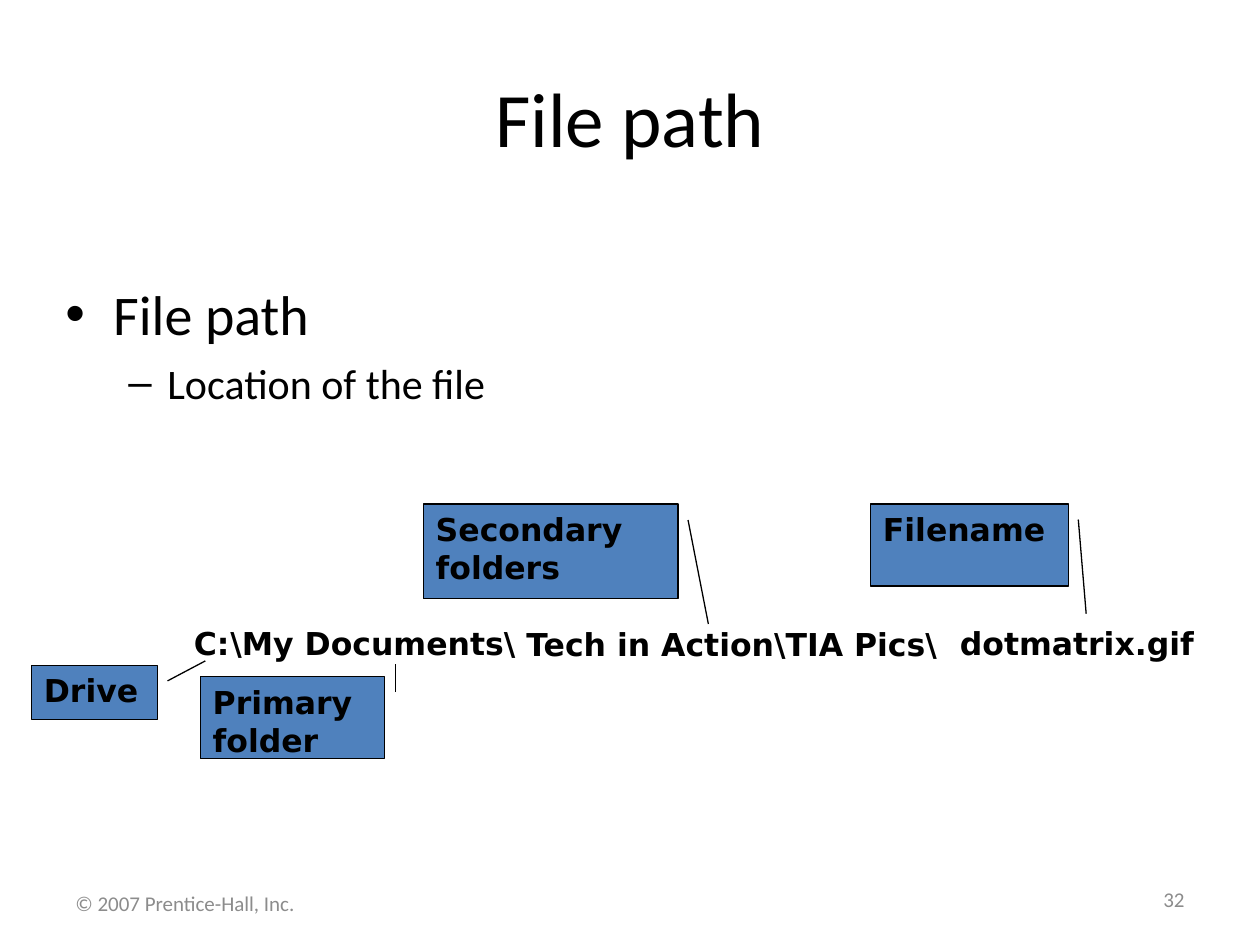
from dataclasses import dataclass

from lxml.etree import SubElement
from pptx import Presentation
from pptx.dml.color import RGBColor
from pptx.enum.shapes import MSO_SHAPE
from pptx.enum.text import MSO_ANCHOR, PP_ALIGN
from pptx.oxml.ns import qn
from pptx.util import Inches, Pt


@dataclass(frozen=True)
class Theme:
    """Colours, fonts and type sizes of the slide."""
    black: RGBColor = RGBColor(0, 0, 0)
    white: RGBColor = RGBColor(255, 255, 255)
    grey: RGBColor = RGBColor(0x8C, 0x8C, 0x8C)
    blue: RGBColor = RGBColor(0x4F, 0x81, 0xBD)
    body_font: str = "Calibri"
    label_font: str = "DejaVu Sans"
    title_size: int = 44
    bullet_size: int = 32
    dash_size: int = 24
    label_size: int = 18
    footer_size: int = 12


THEME = Theme()
LABEL = dict(font=THEME.label_font, size=THEME.label_size, bold=True)
FOOTER = dict(size=THEME.footer_size, color=THEME.grey)


def write(para, text, font=THEME.body_font, size=THEME.label_size,
          color=THEME.black, bold=False, align=PP_ALIGN.LEFT):
    """Put formatted text in a paragraph."""
    para.alignment = align
    span = para.add_run()
    span.text = text
    span.font.name = font
    span.font.size = Pt(size)
    span.font.bold = bold
    span.font.color.rgb = color


def place(shape, left, top, width, height):
    """Move and size a shape, in inches."""
    shape.left, shape.top = Inches(left), Inches(top)
    shape.width, shape.height = Inches(width), Inches(height)


def add_text(page, bounds, text, anchor=MSO_ANCHOR.TOP, **style):
    """Add a wrapped text box holding one paragraph."""
    box = page.shapes.add_textbox(*map(Inches, bounds))
    frame = box.text_frame
    frame.word_wrap = True
    frame.vertical_anchor = anchor
    write(frame.paragraphs[0], text, **style)
    return box


def set_bullet(para, mark, margin, hanging):
    """Give a paragraph a bullet and a hanging indent."""
    properties = para._p.get_or_add_pPr()
    properties.set("marL", str(Inches(margin)))
    properties.set("indent", str(-Inches(hanging)))
    SubElement(properties, qn("a:buFont")).set("typeface", "Arial")
    SubElement(properties, qn("a:buChar")).set("char", mark)


def add_title(page, text):
    """Fill and format the title placeholder."""
    title = page.shapes.title
    place(title, 0.5, 0.3, 9, 1.25)
    title.text_frame.vertical_anchor = MSO_ANCHOR.MIDDLE
    write(title.text_frame.paragraphs[0], text, size=THEME.title_size,
          align=PP_ALIGN.CENTER)


def add_bullets(page):
    """Add the two-level list."""
    box = add_text(page, (0.42, 2.17, 9, 2.39), "File path",
                   size=THEME.bullet_size)
    set_bullet(box.text_frame.paragraphs[0], "•", 0.38, 0.38)
    para = box.text_frame.add_paragraph()
    para.level = 1
    para.space_before = Pt(5.8)
    set_bullet(para, "–", 0.81, 0.31)
    write(para, "Location of the file", size=THEME.dash_size)


def add_panel(page, kind, bounds, text, fill):
    """Add a filled shape with a bold label at its top left."""
    panel = page.shapes.add_shape(kind, *map(Inches, bounds))
    panel.shadow.inherit = False
    panel.fill.solid()
    panel.fill.fore_color.rgb = fill
    panel.line.fill.background()
    panel.text_frame.word_wrap = True
    panel.text_frame.vertical_anchor = MSO_ANCHOR.TOP
    write(panel.text_frame.paragraphs[0], text, **LABEL)
    return panel


def add_callout(page, bounds, text, pointer):
    """Add a callout whose pointer is given as y, x, y, x ratios."""
    callout = add_panel(page, MSO_SHAPE.LINE_CALLOUT_1, bounds, text, THEME.blue)
    callout.line.color.rgb = THEME.black
    callout.line.width = Pt(0.75)
    for index, ratio in enumerate(pointer):
        callout.adjustments[index] = ratio


def add_file_path(page):
    """Add the parts of the sample path and the callouts naming them."""
    add_panel(page, MSO_SHAPE.RECTANGLE, (1.44, 4.9, 8.35, 0.4), "C:", THEME.white)
    for left, top, width, text in (
            (4.08, 4.91, 3.76, "Tech in Action\\TIA Pics\\"),
            (1.73, 4.9, 2.62, "\\My Documents\\"),
            (7.52, 4.9, 2.27, "dotmatrix.gif")):
        add_text(page, (left, top, width, 0.4), text, **LABEL)
    for bounds, text, pointer in (
            ((0.25, 5.28, 1, 0.43), "Drive", (0.29, 1.08, -0.08, 1.38)),
            ((1.59, 5.37, 1.46, 0.65), "Primary folder", (0.19, 1.06, -0.15, 1.06)),
            ((3.36, 4, 2.02, 0.75), "Secondary folders", (0.17, 1.04, 1.27, 1.12)),
            ((6.91, 4, 1.57, 0.65), "Filename", (0.19, 1.05, 1.34, 1.09))):
        add_callout(page, bounds, text, pointer)


def main():
    """Build and save the slide."""
    deck = Presentation()
    deck.slide_width, deck.slide_height = Inches(10), Inches(7.5)
    page = deck.slides.add_slide(deck.slide_layouts[5])
    add_text(page, (0.5, 7.08, 3.5, 0.17), "© 2007 Prentice-Hall, Inc.",
             anchor=MSO_ANCHOR.MIDDLE, **FOOTER)
    add_text(page, (7.17, 7, 2.33, 0.27), "32", anchor=MSO_ANCHOR.MIDDLE,
             align=PP_ALIGN.RIGHT, **FOOTER)
    add_title(page, "File path")
    add_bullets(page)
    add_file_path(page)
    deck.save("out.pptx")


if __name__ == "__main__":
    main()
